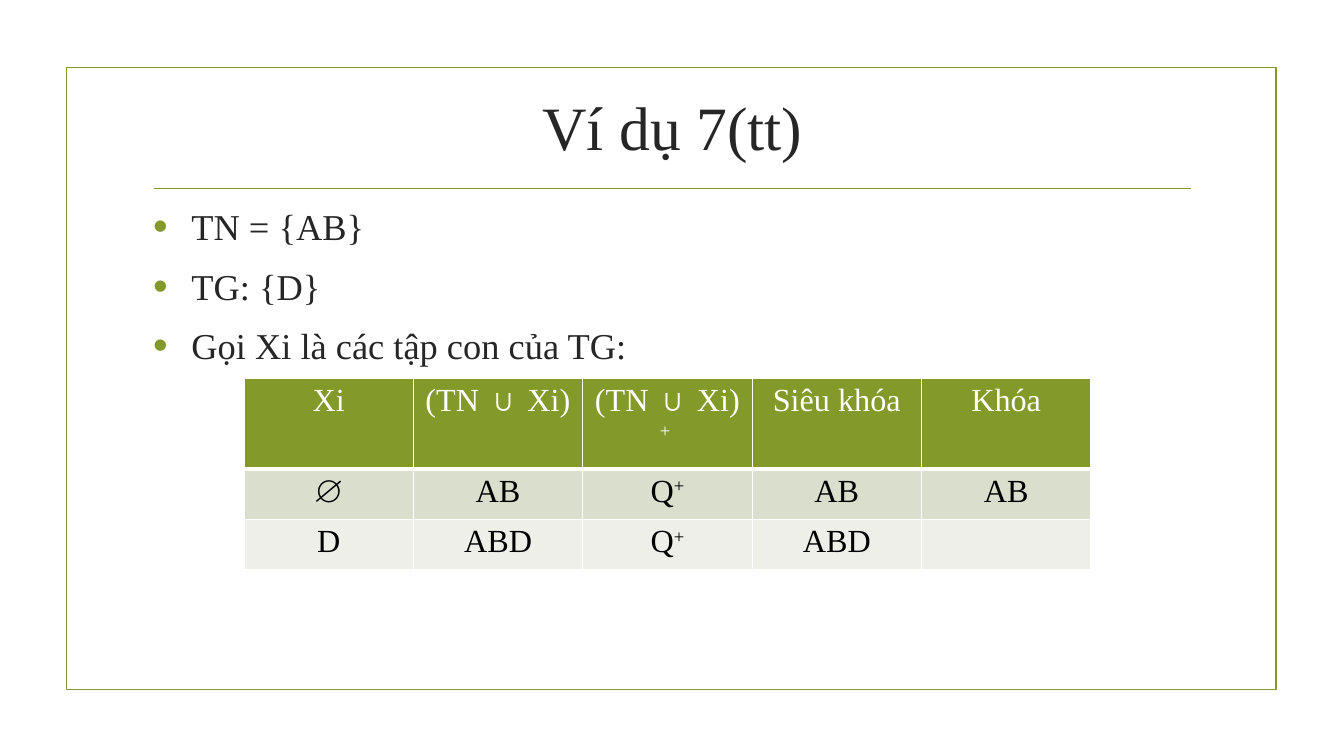
from dataclasses import dataclass

from lxml import etree
from pptx import Presentation
from pptx import util as u
from pptx.dml.color import RGBColor
from pptx.enum import shapes, text
from pptx.oxml import ns

COLORS = {
    "green": "83992A",
    "dark": "262626",
    "black": "000000",
    "white": "FFFFFF",
    "band_dark": "D9DECD",
    "band_light": "EDEFE8",
}
FONT = "Times New Roman"


@dataclass(frozen=True)
class TextStyle:
    size: float
    color: str


@dataclass(frozen=True)
class TableRow:
    height: float
    fill: str
    style: TextStyle
    cells: tuple[str, ...]


TITLE_STYLE = TextStyle(44, "dark")
BODY_STYLE = TextStyle(26, "dark")
HEAD_STYLE = TextStyle(23, "white")
CELL_STYLE = TextStyle(23, "black")

BULLETS = ("TN = {AB}", "TG: {D}", "Gọi Xi là các tập con của TG:")

# A caret separates the base text from its superscript
ROWS = (
    TableRow(0.9, "green", HEAD_STYLE,
             ("Xi", "(TN ∪ Xi)", "(TN ∪ Xi)^+ ", "Siêu khóa", "Khóa")),
    TableRow(0.5, "band_dark", CELL_STYLE, ("∅", "AB", "Q^+", "AB", "AB")),
    TableRow(0.5, "band_light", CELL_STYLE, ("D", "ABD", "Q^+", "ABD", "")),
)
COLUMN_WIDTH = 1.68


def rgb(name: str) -> RGBColor:
    return RGBColor.from_string(COLORS[name])


def add_xml(parent, tag: str, **attributes: str):
    child = etree.SubElement(parent, ns.qn(tag))
    for key, value in attributes.items():
        child.set(key, value)
    return child


def add_span(para, wording: str, style: TextStyle, raised: bool = False) -> None:
    span = para.add_run()
    span.text = wording
    for key, value in {"size": u.Pt(style.size), "name": FONT}.items():
        setattr(span.font, key, value)
    span.font.color.rgb = rgb(style.color)
    if raised:
        span._r.get_or_add_rPr().set("baseline", "30000")


def style_line(line) -> None:
    line.color.rgb = rgb("green")
    line.width = u.Pt(1.25)


def add_frame(page) -> None:
    frame = page.shapes.add_shape(
        shapes.MSO_SHAPE.RECTANGLE,
        u.Inches(0.66), u.Inches(0.67), u.Inches(12), u.Inches(6.17))
    frame.shadow.inherit = False
    frame.fill.background()
    style_line(frame.line)


def add_rule(page) -> None:
    rule = page.shapes.add_connector(
        shapes.MSO_CONNECTOR.STRAIGHT,
        u.Inches(1.53), u.Inches(1.87), u.Inches(11.81), u.Inches(1.87))
    style_line(rule.line)
    add_xml(rule._element.spPr, "a:effectLst")


def fill_title(page, wording: str) -> None:
    title = page.shapes.title
    place = {"left": 1.42, "top": 0.68, "width": 10.5, "height": 1.14}
    for key, value in place.items():
        setattr(title, key, u.Inches(value))
    title.text_frame.vertical_anchor = text.MSO_ANCHOR.MIDDLE
    para = title.text_frame.paragraphs[0]
    para.alignment = text.PP_ALIGN.CENTER
    add_span(para, wording, TITLE_STYLE)


def add_bullets(page) -> None:
    box = page.shapes.add_textbox(
        u.Inches(1.42), u.Inches(1.98), u.Inches(10.5), u.Inches(4.8))
    frame = box.text_frame
    frame.word_wrap = True
    for index, wording in enumerate(BULLETS):
        para = frame.add_paragraph() if index else frame.paragraphs[0]
        props = para._p.get_or_add_pPr()
        props.set("marL", str(u.Inches(0.38)))
        props.set("indent", str(-u.Inches(0.38)))
        before = add_xml(props, "a:spcBef")
        add_xml(before, "a:spcPct", val="20000")
        para.space_after = u.Pt(6)
        color = add_xml(props, "a:buClr")
        add_xml(color, "a:srgbClr", val=COLORS["green"])
        add_xml(props, "a:buSzPct", val="115000")
        add_xml(props, "a:buFont", typeface="Arial")
        add_xml(props, "a:buChar", char="•")
        add_span(para, wording, BODY_STYLE)


def set_borders(cell, bottom: float) -> None:
    props = cell._tc.get_or_add_tcPr()
    widths = {"a:lnL": 1, "a:lnR": 1, "a:lnT": 1, "a:lnB": bottom}
    for position, (tag, width) in enumerate(widths.items()):
        border = add_xml(props, tag, w=str(u.Pt(width)))
        fill = add_xml(border, "a:solidFill")
        add_xml(fill, "a:srgbClr", val=COLORS["white"])
        props.insert(position, border)


def add_key_table(page) -> None:
    count = len(ROWS[0].cells)
    table = page.shapes.add_table(
        len(ROWS), count, u.Inches(2.42), u.Inches(3.75),
        u.Inches(COLUMN_WIDTH * count),
        u.Inches(sum(row.height for row in ROWS))).table
    for column in table.columns:
        column.width = u.Inches(COLUMN_WIDTH)
    for index, row in enumerate(ROWS):
        table.rows[index].height = u.Inches(row.height)
        for cell, wording in zip(table.rows[index].cells, row.cells):
            cell.fill.solid()
            cell.fill.fore_color.rgb = rgb(row.fill)
            set_borders(cell, 1 if index else 3)
            para = cell.text_frame.paragraphs[0]
            para.alignment = text.PP_ALIGN.CENTER
            base, _, raised = wording.partition("^")
            if base:
                add_span(para, base, row.style)
            if raised:
                add_span(para, raised, row.style, raised=True)


def main() -> None:
    deck = Presentation()
    deck.slide_width = u.Inches(13.33)
    deck.slide_height = u.Inches(7.5)
    page = deck.slides.add_slide(deck.slide_layouts[5])

    # Frame and rule behind the content
    add_frame(page)
    add_rule(page)

    # Title, bullets and table of candidate keys
    fill_title(page, "Ví dụ 7(tt)")
    add_bullets(page)
    add_key_table(page)

    deck.save("out.pptx")


if __name__ == "__main__":
    main()
